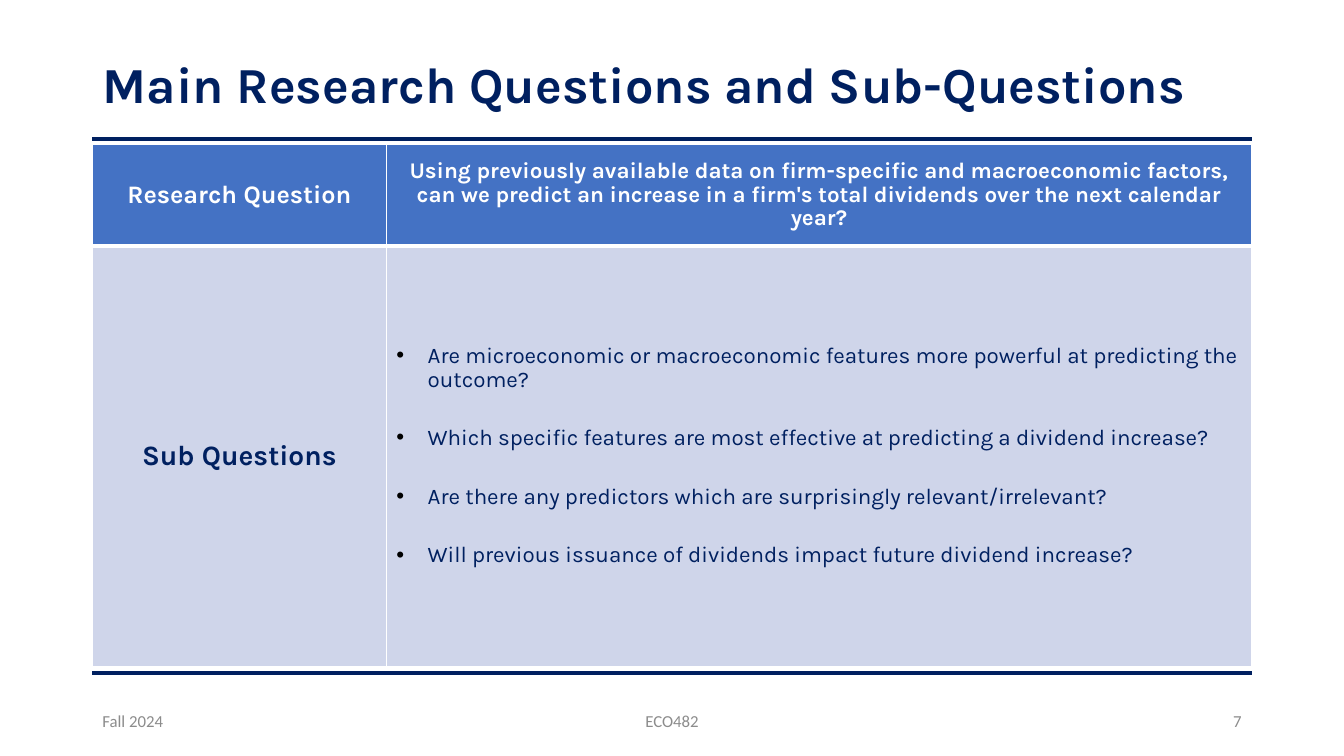
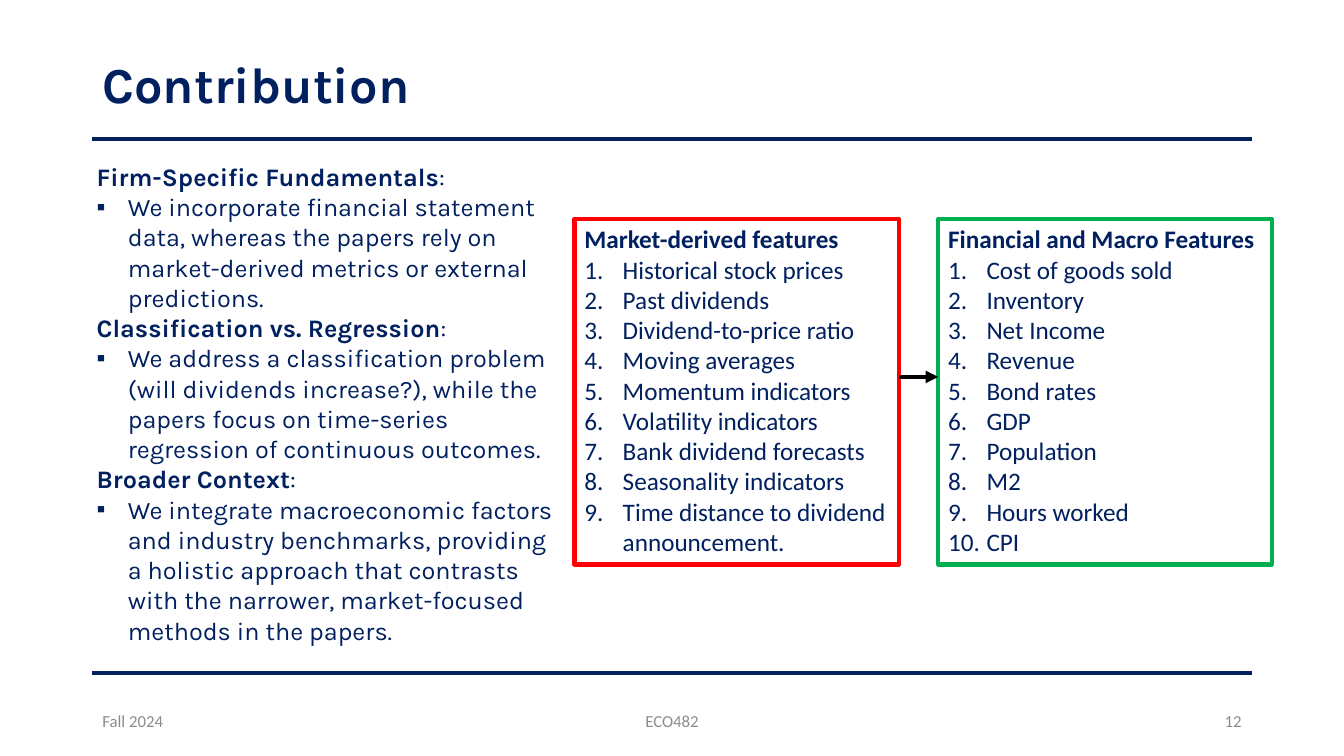
from dataclasses import dataclass

from lxml import etree
from pptx import Presentation
from pptx import util as u
from pptx.dml.color import RGBColor
from pptx.enum import shapes, text
from pptx.oxml import ns


@dataclass(frozen=True)
class Theme:
    navy: str = "002060"
    blue: str = "4472C4"
    pale: str = "CFD5EA"
    white: str = "FFFFFF"
    black: str = "000000"
    grey: str = "8C8C8C"
    red: str = "FF0000"
    green: str = "00B050"
    heading_face: str = "Karla"
    plain_face: str = "Calibri"
    title: int = 36
    label: int = 20
    body: int = 18
    cell: int = 16
    footer: int = 12
    line: int = 3


theme = Theme()
LEFT, CENTER, RIGHT = text.PP_ALIGN.LEFT, text.PP_ALIGN.CENTER, text.PP_ALIGN.RIGHT
MIDDLE, TOP = text.MSO_ANCHOR.MIDDLE, text.MSO_ANCHOR.TOP

presentation = Presentation()
presentation.slide_width = u.Inches(13.33)
presentation.slide_height = u.Inches(7.5)
COLUMN = presentation.slide_width / 160
ROW = presentation.slide_height / 75


def grid(left, top, width, height):
    """Turn columns and rows into slide lengths."""
    return [round(left * COLUMN), round(top * ROW), round(width * COLUMN), round(height * ROW)]


def write(paragraph, parts, size, color, face=theme.heading_face, align=LEFT,
          spacing=1.0, before=0, bullet=None, indent=0.0):
    """Fill a paragraph with (words, bold) parts; bullet is a character or "1."."""
    paragraph.alignment = align
    paragraph.line_spacing = spacing
    paragraph.space_before = u.Pt(before)
    properties = paragraph._p.get_or_add_pPr()
    properties.set("marL", str(u.Inches(indent)))
    properties.set("indent", str(-u.Inches(indent)))
    if bullet == "1.":
        etree.SubElement(properties, ns.qn("a:buAutoNum"), type="arabicPeriod")
    elif bullet:
        if bullet == "•":
            bullet_color = etree.SubElement(properties, ns.qn("a:buClr"))
            etree.SubElement(bullet_color, ns.qn("a:srgbClr"), val=theme.black)
        etree.SubElement(properties, ns.qn("a:buFont"), typeface="Arial")
        etree.SubElement(properties, ns.qn("a:buChar"), char=bullet)
    else:
        etree.SubElement(properties, ns.qn("a:buNone"))
    for words, bold in parts:
        run = paragraph.add_run()
        run.text = words
        run.font.bold = bold
    for font in [paragraph.font] + [run.font for run in paragraph.runs]:
        font.name = face
        font.size = u.Pt(size)
        font.color.rgb = RGBColor.from_string(color)


# Shared frame: title, footer texts and the two rules
lines = []
slides = []
for title, number, layout in [("Main Research Questions and Sub-Questions", "7", 5),
                              ("Contribution", "12", 1)]:
    slide = presentation.slides.add_slide(presentation.slide_layouts[layout])
    slides.append(slide)
    heading = slide.shapes.title
    heading.left, heading.top, heading.width, heading.height = grid(11, 4, 138, 9.3)
    heading.text_frame.auto_size = text.MSO_AUTO_SIZE.NONE
    heading.text_frame.vertical_anchor = MIDDLE
    write(heading.text_frame.paragraphs[0], [(title, True)], theme.title, theme.navy, spacing=0.9)

    for words, left, width, align in [("Fall 2024", 11, 36, LEFT), ("ECO482", 53, 54, CENTER),
                                      (number, 113, 36, RIGHT)]:
        footer = slide.shapes.add_textbox(*grid(left, 69.5, width, 4))
        footer.text_frame.word_wrap = True
        footer.text_frame.vertical_anchor = MIDDLE
        write(footer.text_frame.paragraphs[0], [(words, False)], theme.footer, theme.grey,
              theme.plain_face, align)

    for height in (13.8, 66.8):
        lines.append((slide, 11, 149, height, theme.navy, False))

question_slide, contribution_slide = slides

# Research question table
frame = question_slide.shapes.add_table(2, 2, *grid(11, 14.3, 138, 51.8))
table = frame.table
for column, share in zip(table.columns, (35, 103)):
    column.width = round(share * COLUMN)
for row, share in zip(table.rows, (10.1, 41.7)):
    row.height = round(share * ROW)

for row_index, fill in enumerate((theme.blue, theme.pale)):
    for cell in table.rows[row_index].cells:
        cell.vertical_anchor = MIDDLE
        properties = cell._tc.get_or_add_tcPr()
        middle_edge = "a:lnT" if row_index else "a:lnB"
        for edge in ("a:lnL", "a:lnR", "a:lnT", "a:lnB"):
            points = theme.line if edge == middle_edge else 1
            border = etree.SubElement(properties, ns.qn(edge), w=str(u.Pt(points)))
            paint = etree.SubElement(border, ns.qn("a:solidFill"))
            etree.SubElement(paint, ns.qn("a:srgbClr"), val=theme.white)
        cell.fill.solid()
        cell.fill.fore_color.rgb = RGBColor.from_string(fill)

research_question = ("Using previously available data on firm-specific and macroeconomic factors, "
                     "can we predict an increase in a firm's total dividends over the next "
                     "calendar year?")
write(table.cell(0, 0).text_frame.paragraphs[0], [("Research Question", True)],
      theme.body, theme.white, align=CENTER)
write(table.cell(0, 1).text_frame.paragraphs[0], [(research_question, True)],
      theme.cell, theme.white, align=CENTER, spacing=0.9, before=10)
write(table.cell(1, 0).text_frame.paragraphs[0], [("Sub Questions", True)],
      theme.label, theme.navy, align=CENTER)

sub_questions = [
    "Are microeconomic or macroeconomic features more powerful at predicting the outcome?",
    "Which specific features are most effective at predicting a dividend increase?",
    "Are there any predictors which are surprisingly relevant/irrelevant?",
    "Will previous issuance of dividends impact future dividend increase?",
]
answer_frame = table.cell(1, 1).text_frame
for index, question in enumerate(sub_questions):
    paragraph = answer_frame.add_paragraph() if index else answer_frame.paragraphs[0]
    write(paragraph, [(question, False)], theme.cell, theme.navy, spacing=0.9,
          before=25 if index else 4, bullet="•", indent=0.31)

# Contribution list
contributions = [
    ("Firm-Specific Fundamentals",
     "We incorporate financial statement data, whereas the papers rely on market-derived "
     "metrics or external predictions."),
    ("Classification vs. Regression",
     "We address a classification problem (will dividends increase?), while the papers focus "
     "on time-series regression of continuous outcomes."),
    ("Broader Context",
     "We integrate macroeconomic factors and industry benchmarks, providing a holistic approach "
     "that contrasts with the narrower, market-focused methods in the papers."),
]
body = contribution_slide.placeholders[1]
body.left, body.top, body.width, body.height = grid(10.3, 15.5, 58.1, 49.5)
body.text_frame.auto_size = text.MSO_AUTO_SIZE.NONE
for index, (topic, detail) in enumerate(contributions):
    paragraph = body.text_frame.add_paragraph() if index else body.text_frame.paragraphs[0]
    write(paragraph, [(topic, True), (":", False)], theme.body, theme.navy)
    write(body.text_frame.add_paragraph(), [(detail, False)], theme.body, theme.navy,
          bullet="▪", indent=0.31)

# Feature boxes
feature_boxes = [
    ("Market-derived features", 68.4, 38.6, theme.red,
     ["Historical stock prices", "Past dividends", "Dividend-to-price ratio", "Moving averages",
      "Momentum indicators", "Volatility indicators", "Bank dividend forecasts",
      "Seasonality indicators", "Time distance to dividend announcement."]),
    ("Financial and Macro Features", 111.7, 39.7, theme.green,
     ["Cost of goods sold", "Inventory", "Net Income", "Revenue", "Bond rates", "GDP",
      "Population", "M2", "Hours worked", "CPI"]),
]
for heading, left, width, outline, features in feature_boxes:
    box = contribution_slide.shapes.add_shape(shapes.MSO_SHAPE.RECTANGLE,
                                              *grid(left, 21.7, width, 34.3))
    box.shadow.inherit = False
    box.fill.solid()
    box.fill.fore_color.rgb = RGBColor.from_string(theme.white)
    box.line.color.rgb = RGBColor.from_string(outline)
    box.line.width = u.Pt(theme.line)
    box.text_frame.word_wrap = True
    box.text_frame.vertical_anchor = TOP
    write(box.text_frame.paragraphs[0], [(heading, True)], theme.body, theme.navy,
          theme.plain_face)
    for feature in features:
        write(box.text_frame.add_paragraph(), [(feature, False)], theme.body, theme.navy,
              theme.plain_face, bullet="1.", indent=0.38)
lines.append((contribution_slide, 107, 111.7, 37.4, theme.black, True))

# Rules and the arrow between the boxes
for slide, start, end, height, color, arrow in lines:
    line = slide.shapes.add_connector(shapes.MSO_CONNECTOR.STRAIGHT,
                                      *grid(start, height, end, height))
    line.line.color.rgb = RGBColor.from_string(color)
    line.line.width = u.Pt(theme.line)
    if arrow:
        etree.SubElement(line.line._get_or_add_ln(), ns.qn("a:tailEnd"), type="triangle")
    etree.SubElement(line._element.spPr, ns.qn("a:effectLst"))

presentation.save("out.pptx")
